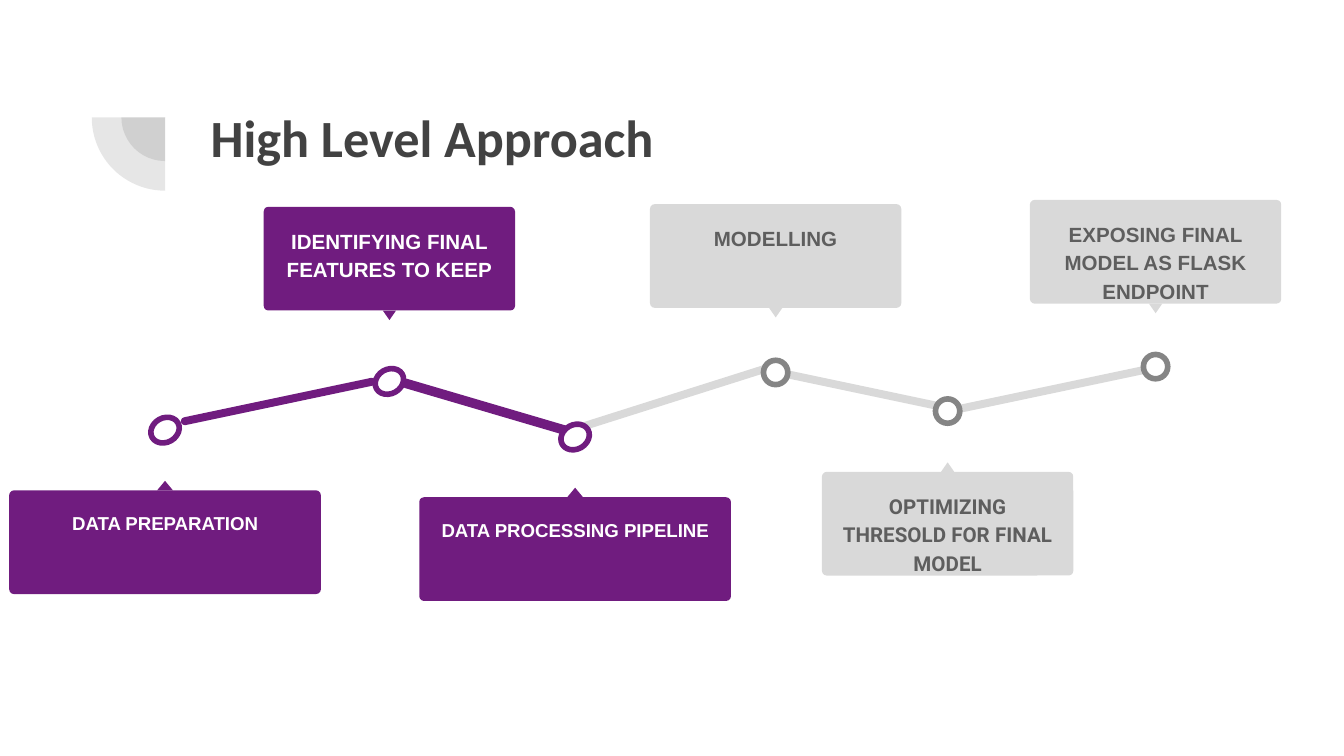
"""Build the High Level Approach milestone slide."""
from dataclasses import dataclass

from lxml.etree import SubElement
from pptx import Presentation
from pptx.dml.color import RGBColor
from pptx.enum.shapes import MSO_SHAPE
from pptx.enum.text import MSO_ANCHOR, PP_ALIGN
from pptx.oxml.ns import qn
from pptx.util import Cm, Pt


@dataclass(frozen=True)
class Theme:
    ink: str = "424242"
    paper: str = "FFFFFF"
    done: str = "701C7F"
    pending: str = "D9D9D9"
    ring: str = "858585"
    label: str = "5E5E5E"
    title_font: str = "Calibri"
    body_font: str = "Arial"
    accent_font: str = "Roboto"
    title_size: int = 28
    label_size: int = 11
    small_size: int = 10


THEME = Theme()
TITLE = "High Level Approach"
STOPS = [
    {"text": "DATA PREPARATION", "centre": (3.12, 8.13), "card_top": 9.27, "done": True},
    {"text": "IDENTIFYING FINAL FEATURES TO KEEP", "centre": (7.36, 7.21), "card_top": 3.91, "done": True},
    {"text": "DATA PROCESSING PIPELINE", "centre": (10.87, 8.26), "card_top": 9.4, "done": True},
    {"text": "MODELLING", "centre": (14.66, 7.04), "card_top": 3.86, "done": False},
    {"text": "OPTIMIZING THRESOLD FOR FINAL MODEL", "centre": (17.91, 7.77), "card_top": 8.92,
     "done": False, "font": THEME.accent_font},
    {"text": "EXPOSING FINAL MODEL AS FLASK ENDPOINT", "centre": (21.84, 6.93), "card_top": 3.78, "done": False},
]
BARS = [
    (5.26, 7.59, 3.76, 0.15, -11.9, THEME.done),
    (9.31, 7.73, 3.58, 0.18, 16.4, THEME.done),
    (12.73, 7.52, 3.76, 0.15, -17.6, THEME.pending),
    (16.28, 7.37, 3.76, 0.15, 11.9, THEME.pending),
    (19.84, 7.37, 3.76, 0.15, -11.9, THEME.pending),
]
ARC_CENTRE = (3.12, 2.22)
ARC_DIAMETERS = (1.65, 2.77)
CARD_HEIGHT, POINTER_HEIGHT, MARKER_HEIGHT = 1.96, 0.18, 0.46
LABEL_HEIGHT, INSET = 1.73, 0.25


def add_centred(page, kind, x, y, width, height, color, rotation=0):
    """Add a filled shape around its centre point."""
    shape = page.shapes.add_shape(kind, Cm(x - width / 2), Cm(y - height / 2), Cm(width), Cm(height))
    shape.shadow.inherit = False
    shape.fill.solid()
    shape.fill.fore_color.rgb = RGBColor.from_string(color)
    shape.line.fill.background()
    shape.rotation = rotation
    return shape


def write_text(box, text, font, size, color, align):
    """Fill a text frame with one bold paragraph."""
    frame = box.text_frame
    frame.word_wrap = True
    frame.vertical_anchor = MSO_ANCHOR.TOP
    frame.margin_left = frame.margin_right = frame.margin_top = frame.margin_bottom = Cm(INSET)
    frame.text = text
    para = frame.paragraphs[0]
    para.alignment = align
    para.font.name, para.font.size, para.font.bold = font, Pt(size), True
    para.font.color.rgb = RGBColor.from_string(color)
    return para


def add_heading(page):
    """Add the translucent quarter circles and the title."""
    for diameter in ARC_DIAMETERS:
        arc = add_centred(page, MSO_SHAPE.PIE, *ARC_CENTRE, diameter, diameter, THEME.ink)
        arc.adjustments[0], arc.adjustments[1] = 54, 108
        tint = arc.fill._xPr.find(qn("a:solidFill")).find(qn("a:srgbClr"))
        SubElement(tint, qn("a:alpha")).set("val", "13000")
    title = page.shapes.title
    title.left, title.top, title.width, title.height = Cm(3.73), Cm(1.73), Cm(19.53), Cm(1.45)
    write_text(title, TITLE, THEME.title_font, THEME.title_size, THEME.ink, PP_ALIGN.LEFT)


def add_stop(page, stop):
    """Add a marker with its card, pointer and label."""
    x, y = stop["centre"]
    top, done = stop["card_top"], stop["done"]
    below = top > y
    wide = done and below
    color = THEME.done if done else THEME.pending

    marker = add_centred(page, MSO_SHAPE.OVAL, x, y, 0.56 if done else 0.46, MARKER_HEIGHT, THEME.paper, 330.2)
    marker.line.color.rgb = RGBColor.from_string(THEME.done if done else THEME.ring)
    marker.line.width = Pt(3)

    card = add_centred(page, MSO_SHAPE.ROUNDED_RECTANGLE, x, top + CARD_HEIGHT / 2,
                       5.89 if wide else 4.75, CARD_HEIGHT, color)
    card.adjustments[0] = 0.045
    pointer_y = top - POINTER_HEIGHT / 2 if below else top + CARD_HEIGHT + POINTER_HEIGHT / 2
    add_centred(page, MSO_SHAPE.ISOSCELES_TRIANGLE, x, pointer_y, 0.3 if wide else 0.25,
                POINTER_HEIGHT, color, 0 if below else 180)

    width = 5.59 if wide else 4.52
    box = page.shapes.add_textbox(Cm(x - width / 2), Cm(top + 0.1), Cm(width), Cm(LABEL_HEIGHT))
    para = write_text(box, stop["text"], stop.get("font", THEME.body_font),
                      THEME.small_size if wide else THEME.label_size,
                      THEME.paper if done else THEME.label, PP_ALIGN.CENTER)
    para.line_spacing = 1.15
    para.space_after = Pt(16)


def main():
    deck = Presentation()
    deck.slide_width, deck.slide_height = Cm(25.4), Cm(14.29)
    page = deck.slides.add_slide(deck.slide_layouts[5])
    add_heading(page)
    for x, y, length, thickness, rotation, color in reversed(BARS):
        bar = add_centred(page, MSO_SHAPE.ROUNDED_RECTANGLE, x, y, length, thickness, color, rotation)
        bar.adjustments[0] = 0.5
    for stop in STOPS:
        add_stop(page, stop)
    deck.save("out.pptx")


if __name__ == "__main__":
    main()
